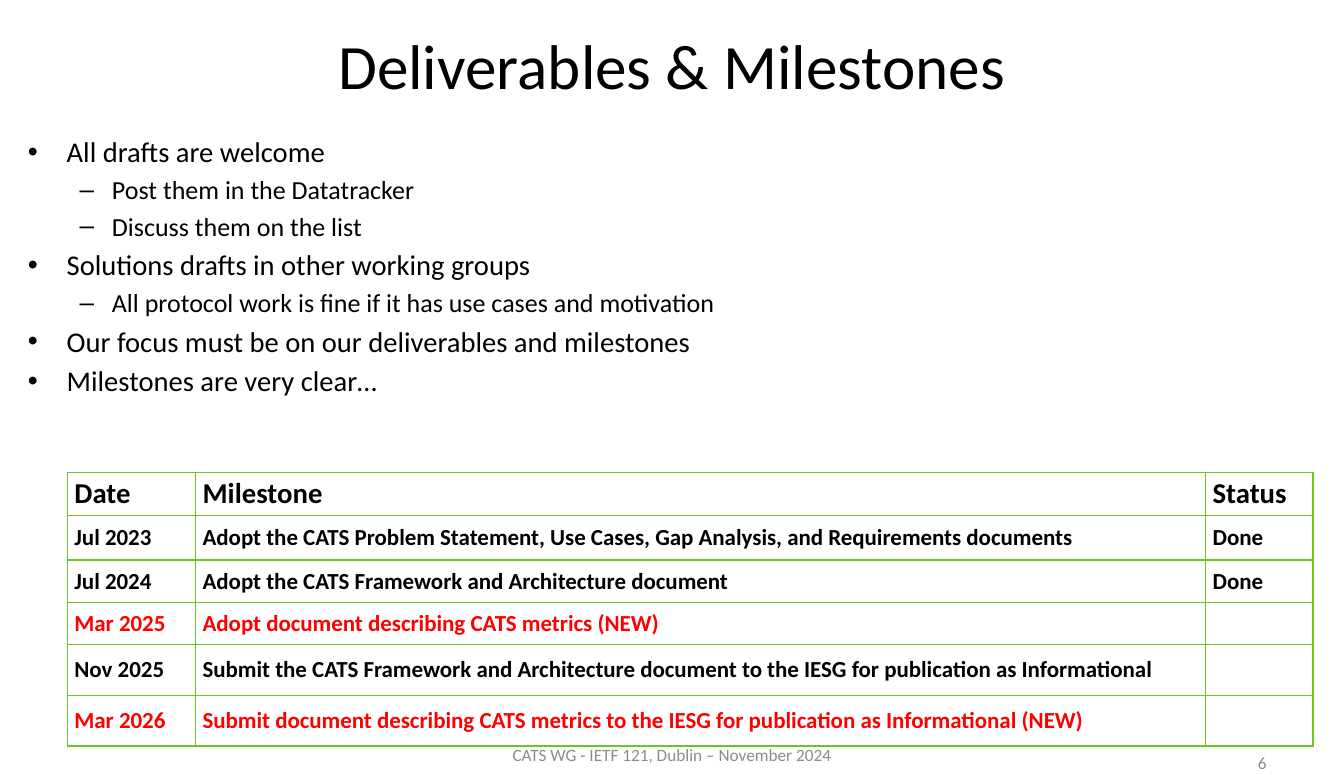
"""Build the deliverables and milestones slide."""
from dataclasses import dataclass

from lxml.etree import SubElement
from pptx import Presentation
from pptx.dml.color import RGBColor
from pptx.enum.text import MSO_ANCHOR as Anchor, MSO_AUTO_SIZE as AutoSize, PP_ALIGN as Align
from pptx.oxml.ns import qn
from pptx.slide import Slide
from pptx.table import _Cell as Cell
from pptx.util import Inches, Pt


@dataclass(frozen=True)
class Theme:
    font: str = "Calibri"
    text: str = "000000"
    new: str = "FF0000"
    muted: str = "8C8C8C"
    paper: str = "FFFFFF"
    border: str = "70C321"
    title_size: float = 44
    body_sizes: tuple[float, ...] = (19.9, 18.1)
    header_size: float = 20
    cell_size: float = 16
    footer_size: float = 12


@dataclass(frozen=True)
class Box:
    left: float
    top: float
    width: float
    height: float

    def lengths(self) -> tuple[Inches, ...]:
        """Return the box as lengths."""
        return tuple(Inches(v) for v in (self.left, self.top, self.width, self.height))


@dataclass(frozen=True)
class Bullet:
    text: str
    level: int = 0


@dataclass(frozen=True)
class Milestone:
    date: str
    text: str
    status: str = ""
    new: bool = False


@dataclass(frozen=True)
class Footer:
    text: str
    box: Box
    align: Align


THEME = Theme()
BULLETS = (
    Bullet("All drafts are welcome"),
    Bullet("Post them in the Datatracker", 1),
    Bullet("Discuss them on the list", 1),
    Bullet("Solutions drafts in other working groups"),
    Bullet("All protocol work is fine if it has use cases and motivation", 1),
    Bullet("Our focus must be on our deliverables and milestones"),
    Bullet("Milestones are very clear…"),
)
HEADER = Milestone("Date", "Milestone", "Status")
MILESTONES = (
    Milestone("Jul 2023", "Adopt the CATS Problem Statement, Use Cases, Gap Analysis, "
              "and Requirements documents", "Done"),
    Milestone("Jul 2024", "Adopt the CATS Framework and Architecture document", "Done"),
    Milestone("Mar 2025", "Adopt document describing CATS metrics (NEW)", new=True),
    Milestone("Nov 2025", "Submit the CATS Framework and Architecture document to the IESG "
              "for publication as Informational"),
    Milestone("Mar 2026", "Submit document describing CATS metrics to the IESG "
              "for publication as Informational (NEW)", new=True),
)
COLUMNS = (1.24, 9.77, 1.04)
ROWS = (0.42, 0.43, 0.41, 0.41, 0.49, 0.49)
FOOTERS = (
    Footer("6", Box(9.32, 7.18, 3.03, 0.4), Align.RIGHT),
    Footer("CATS WG - IETF 121, Dublin – November 2024", Box(4.44, 7.1, 4.12, 0.4), Align.CENTER),
)


def style(p, size: float, color: str, bold: bool = False) -> None:
    """Format every run of a paragraph."""
    for r in p.runs:
        r.font.name = THEME.font
        r.font.size = Pt(size)
        r.font.bold = bold
        r.font.color.rgb = RGBColor.from_string(color)


def place(s, box: Box) -> None:
    """Move and size a shape."""
    s.left, s.top, s.width, s.height = box.lengths()


def add_title(slide: Slide, text: str) -> None:
    """Fill the title placeholder."""
    s = slide.shapes.title
    place(s, Box(0.65, 0, 11.7, 1.25))
    tf = s.text_frame
    tf.text = text
    tf.vertical_anchor = Anchor.MIDDLE
    tf.paragraphs[0].alignment = Align.CENTER
    style(tf.paragraphs[0], THEME.title_size, THEME.text)


def add_bullets(slide: Slide, bullets: tuple[Bullet, ...]) -> None:
    """Fill the body placeholder with a two-level list."""
    s = slide.placeholders[1]
    place(s, Box(0.17, 1.25, 12.67, 5.93))
    tf = s.text_frame
    tf.auto_size = AutoSize.NONE
    tf.text = "\n".join(b.text for b in bullets)
    for p, bullet in zip(tf.paragraphs, bullets):
        p.level = bullet.level
        style(p, THEME.body_sizes[bullet.level], THEME.text)


def set_borders(cell: Cell) -> None:
    """Draw a thin line on all four sides of a cell."""
    props = cell._tc.get_or_add_tcPr()
    for i, side in enumerate(("lnL", "lnR", "lnT", "lnB")):
        line = SubElement(props, qn(f"a:{side}"), w=str(Pt(1)))
        fill = SubElement(line, qn("a:solidFill"))
        SubElement(fill, qn("a:srgbClr"), val=THEME.border)
        props.insert(i, line)


def fill_cell(cell: Cell, text: str, size: float, color: str, anchor: Anchor) -> None:
    """Write and format one table cell."""
    cell.text = text
    cell.vertical_anchor = anchor
    cell.margin_left = cell.margin_right = Inches(0.07)
    cell.margin_top = cell.margin_bottom = Inches(0.04)
    cell.fill.solid()
    cell.fill.fore_color.rgb = RGBColor.from_string(THEME.paper)
    set_borders(cell)
    style(cell.text_frame.paragraphs[0], size, color, bold=True)


def add_milestones(slide: Slide, milestones: tuple[Milestone, ...]) -> None:
    """Add the milestone table under its header row."""
    box = Box(0.65, 4.57, sum(COLUMNS), sum(ROWS))
    table = slide.shapes.add_table(len(ROWS), len(COLUMNS), *box.lengths()).table
    table.first_row = table.horz_banding = False
    for column, width in zip(table.columns, COLUMNS):
        column.width = Inches(width)
    for row, height, item in zip(table.rows, ROWS, (HEADER, *milestones)):
        row.height = Inches(height)
        is_header = item is HEADER
        size = THEME.header_size if is_header else THEME.cell_size
        anchor = Anchor.TOP if is_header else Anchor.MIDDLE
        color = THEME.new if item.new else THEME.text
        for cell, text in zip(row.cells, (item.date, item.text, item.status)):
            fill_cell(cell, text, size, color, anchor)


def add_footer(slide: Slide, footer: Footer) -> None:
    """Add one line of footer text."""
    tf = slide.shapes.add_textbox(*footer.box.lengths()).text_frame
    tf.word_wrap = True
    tf.vertical_anchor = Anchor.MIDDLE
    tf.text = footer.text
    p = tf.paragraphs[0]
    p.alignment = footer.align
    style(p, THEME.footer_size, THEME.muted)


def main() -> None:
    """Build and save the presentation."""
    prs = Presentation()
    prs.slide_width, prs.slide_height = Inches(13), Inches(7.5)
    slide = prs.slides.add_slide(prs.slide_layouts[1])
    add_title(slide, "Deliverables & Milestones")
    add_bullets(slide, BULLETS)
    add_milestones(slide, MILESTONES)
    for footer in FOOTERS:
        add_footer(slide, footer)
    prs.save("out.pptx")


if __name__ == "__main__":
    main()
